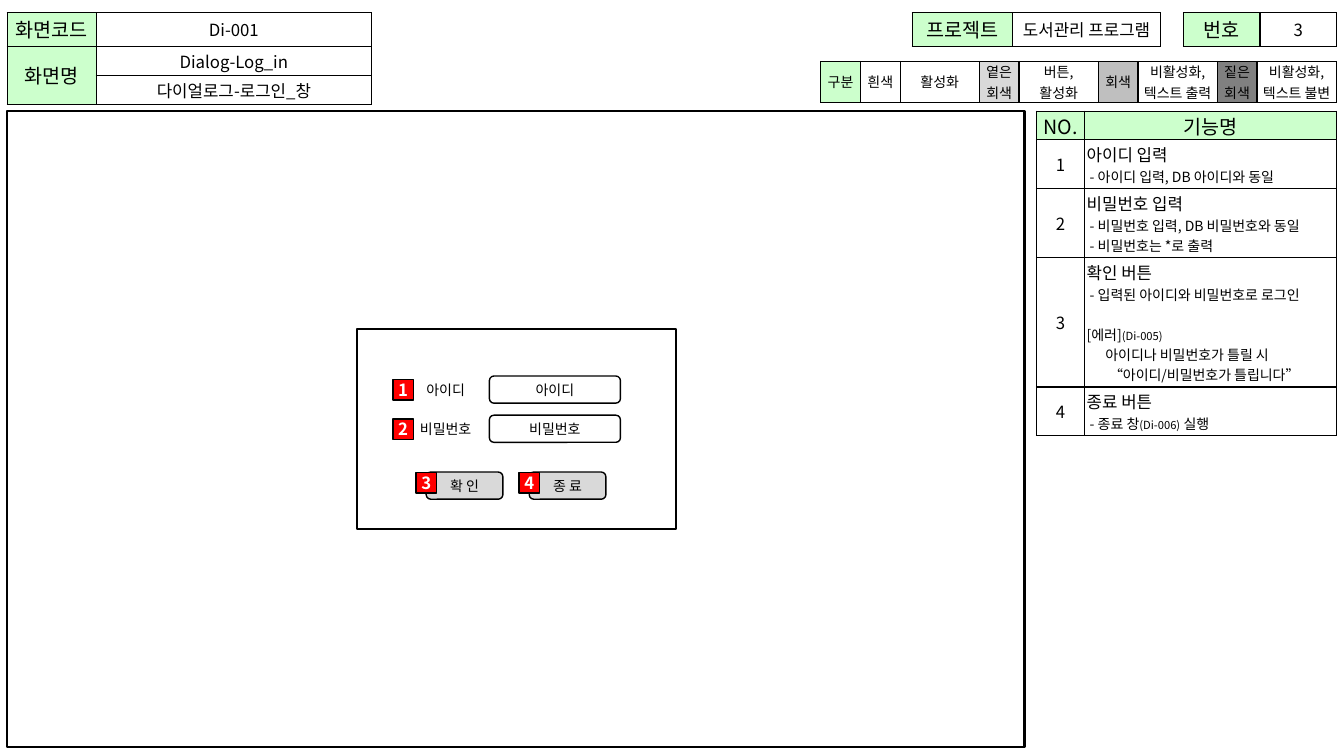
from dataclasses import dataclass
from typing import Optional

from lxml import etree
from pptx import Presentation
from pptx.dml.color import RGBColor
from pptx.enum.shapes import MSO_SHAPE as Preset
from pptx.enum.text import MSO_ANCHOR as Anchor, PP_ALIGN as Align
from pptx.oxml.ns import qn
from pptx.util import Pt

FONT = "Noto Sans CJK KR"
COLORS = {
    "black": "000000", "white": "FFFFFF", "mint": "CCFFCC", "red": "FF0000",
    "light": "D9D9D9", "gray": "BFBFBF", "dark": "808080",
}


@dataclass
class Line:
    runs: list[tuple[str, float]]
    indent: float = 0
    before: float = 0


@dataclass
class Cell:
    lines: list[Line]
    fill: str = "white"
    align: Align = Align.CENTER
    margin: float = 1.4


@dataclass
class Grid:
    left: float
    top: float
    widths: list[float]
    heights: list[float]
    rows: list[list[Optional[Cell]]]


@dataclass
class Box:
    left: float
    top: float
    width: float
    height: float
    text: str = ""
    fill: Optional[str] = "white"
    preset: Preset = Preset.ROUNDED_RECTANGLE
    border: float = 1
    size: float = 10
    color: str = "black"
    bold: bool = False
    margin: float = 1.4


def rgb(name: str) -> RGBColor:
    return RGBColor.from_string(COLORS[name])


def style_run(run, size: float, color: str = "black", bold: bool = False) -> None:
    run.font.size = Pt(size)
    run.font.name = FONT
    run.font.bold = bold
    run.font.color.rgb = rgb(color)
    etree.SubElement(run.font._element, qn("a:ea"), typeface=FONT)


def draw_border(cell) -> None:
    properties = cell._tc.get_or_add_tcPr()
    for side in ("a:lnL", "a:lnR", "a:lnT", "a:lnB"):
        edge = etree.SubElement(properties, qn(side), w=str(Pt(1)))
        paint = etree.SubElement(edge, qn("a:solidFill"))
        etree.SubElement(paint, qn("a:srgbClr"), val=COLORS["black"])


def fill_cell(cell, content: Cell) -> None:
    cell.fill.solid()
    cell.fill.fore_color.rgb = rgb(content.fill)
    cell.vertical_anchor = Anchor.MIDDLE
    cell.margin_left = cell.margin_right = Pt(1.4)
    cell.margin_top = cell.margin_bottom = Pt(content.margin)
    frame = cell.text_frame
    for index, line in enumerate(content.lines):
        para = frame.add_paragraph() if index else frame.paragraphs[0]
        para.alignment = content.align
        para.space_before = Pt(line.before)
        para._p.get_or_add_pPr().set("marL", str(Pt(line.indent)))
        for text, size in line.runs:
            run = para.add_run()
            run.text = text
            style_run(run, size)


def draw_grid(page, grid: Grid) -> None:
    table = page.shapes.add_table(
        len(grid.heights), len(grid.widths), Pt(grid.left), Pt(grid.top),
        Pt(sum(grid.widths)), Pt(sum(grid.heights))).table
    table.first_row = table.horz_banding = False
    for column, width in zip(table.columns, grid.widths):
        column.width = Pt(width)
    for row, height in zip(table.rows, grid.heights):
        row.height = Pt(height)
    for r, contents in enumerate(grid.rows):
        for c, content in enumerate(contents):
            cell = table.cell(r, c)
            draw_border(cell)
            if content:
                fill_cell(cell, content)
            else:
                table.cell(r - 1, c).merge(cell)


def draw_box(page, box: Box) -> None:
    shape = page.shapes.add_shape(
        box.preset, Pt(box.left), Pt(box.top), Pt(box.width), Pt(box.height))
    shape.shadow.inherit = False
    if box.fill:
        shape.fill.solid()
        shape.fill.fore_color.rgb = rgb(box.fill)
        shape.line.color.rgb = rgb("black")
        shape.line.width = Pt(box.border)
    else:
        shape.fill.background()
        shape.line.fill.background()
    if box.text:
        frame = shape.text_frame
        frame.text = box.text
        frame.word_wrap = True
        frame.vertical_anchor = Anchor.MIDDLE
        frame.margin_left = frame.margin_right = Pt(box.margin)
        frame.margin_top = frame.margin_bottom = 0
        para = frame.paragraphs[0]
        para.alignment = Align.CENTER
        style_run(para.runs[0], box.size, box.color, box.bold)


def label(text: str, size: float = 12, fill: str = "white", margin: float = 0) -> Cell:
    return Cell([Line([(text, size)]) for text in text.split("\n")], fill, margin=margin)


def heading(text: str) -> Cell:
    return label(text, 14, "mint")


def feature(title: str, *details: Line) -> Cell:
    return Cell([Line([(title, 12)]), *details], align=Align.LEFT)


def detail(text: str, indent: float = 2.2) -> Line:
    return Line([(text, 10)], indent)


def frame_box(left: float, top: float, width: float, height: float) -> Box:
    return Box(left, top, width, height, preset=Preset.RECTANGLE, border=1.5)


def badge(number: int, left: float, top: float) -> Box:
    return Box(left, top, 14.6, 14.6, str(number), "red", Preset.RECTANGLE,
               size=12, color="white", bold=True, margin=0)


def main() -> None:
    deck = Presentation()
    deck.slide_width, deck.slide_height = Pt(960), Pt(540)
    page = deck.slides.add_slide(deck.slide_layouts[6])

    features = [
        feature("아이디 입력", detail("- 아이디 입력, DB 아이디와 동일")),
        feature("비밀번호 입력", detail("- 비밀번호 입력, DB 비밀번호와 동일"),
                detail("- 비밀번호는 *로 출력")),
        feature("확인 버튼", detail("- 입력된 아이디와 비밀번호로 로그인"),
                Line([("[에러]", 10), ("(Di-005)", 8)], before=14.6),
                detail("아이디나 비밀번호가 틀릴 시", 13.4),
                detail("“아이디/비밀번호가 틀립니다”", 16)),
        feature("종료 버튼", Line([("- 종료 창", 10), ("(Di-006)", 8), (" 실행", 10)], 2.2)),
    ]
    legend = [("구분", "mint"), ("흰색", "white"), ("활성화", "white"),
              ("옅은\n회색", "light"), ("버튼,\n활성화", "white"),
              ("회색", "gray"), ("비활성화,\n텍스트 출력", "white"),
              ("짙은\n회색", "dark"), ("비활성화,\n텍스트 불변", "white")]
    grids = [
        Grid(740.4, 79.4, [34.4, 180], [20, 35, 49.2, 92.2, 34.5],
             [[heading("NO."), heading("기능명")]]
             + [[label(str(n)), cell] for n, cell in enumerate(features, 1)]),
        Grid(5.2, 9, [63.6, 196.6], [24, 20.8, 20.8],
             [[heading("화면코드"), label("Di-001")],
              [heading("화면명"), label("Dialog-Log_in")],
              [None, label("다이얼로그-로그인_창")]]),
        Grid(651.6, 9, [71.6, 106], [24], [[heading("프로젝트"), label("도서관리 프로그램")]]),
        Grid(845.4, 9, [54.6, 54.6], [24], [[heading("번호"), label("3")]]),
        Grid(586.2, 44, [28.4] + [28.4, 56.6] * 4, [29],
             [[label(text, 10, fill) for text, fill in legend]]),
    ]

    draw_box(page, frame_box(5.2, 79.4, 726.6, 454.2))
    draw_box(page, frame_box(255, 235.2, 228, 142.6))
    for number, (name, top) in enumerate([("아이디", 268.6), ("비밀번호", 296.6)], 1):
        draw_box(page, Box(293.8, top, 49, 19.4, name, None))
        draw_box(page, Box(349.6, top, 93.6, 19.4, name))
        draw_box(page, badge(number, 280.6, top + 2.6))
    for number, (name, left) in enumerate([("확 인", 304.4), ("종 료", 378)], 3):
        draw_box(page, Box(left, 337.2, 54.8, 19.4, name, "light"))
        draw_box(page, badge(number, left - 7.2, 337.6))
    for grid in grids:
        draw_grid(page, grid)
    deck.save("out.pptx")


if __name__ == "__main__":
    main()
